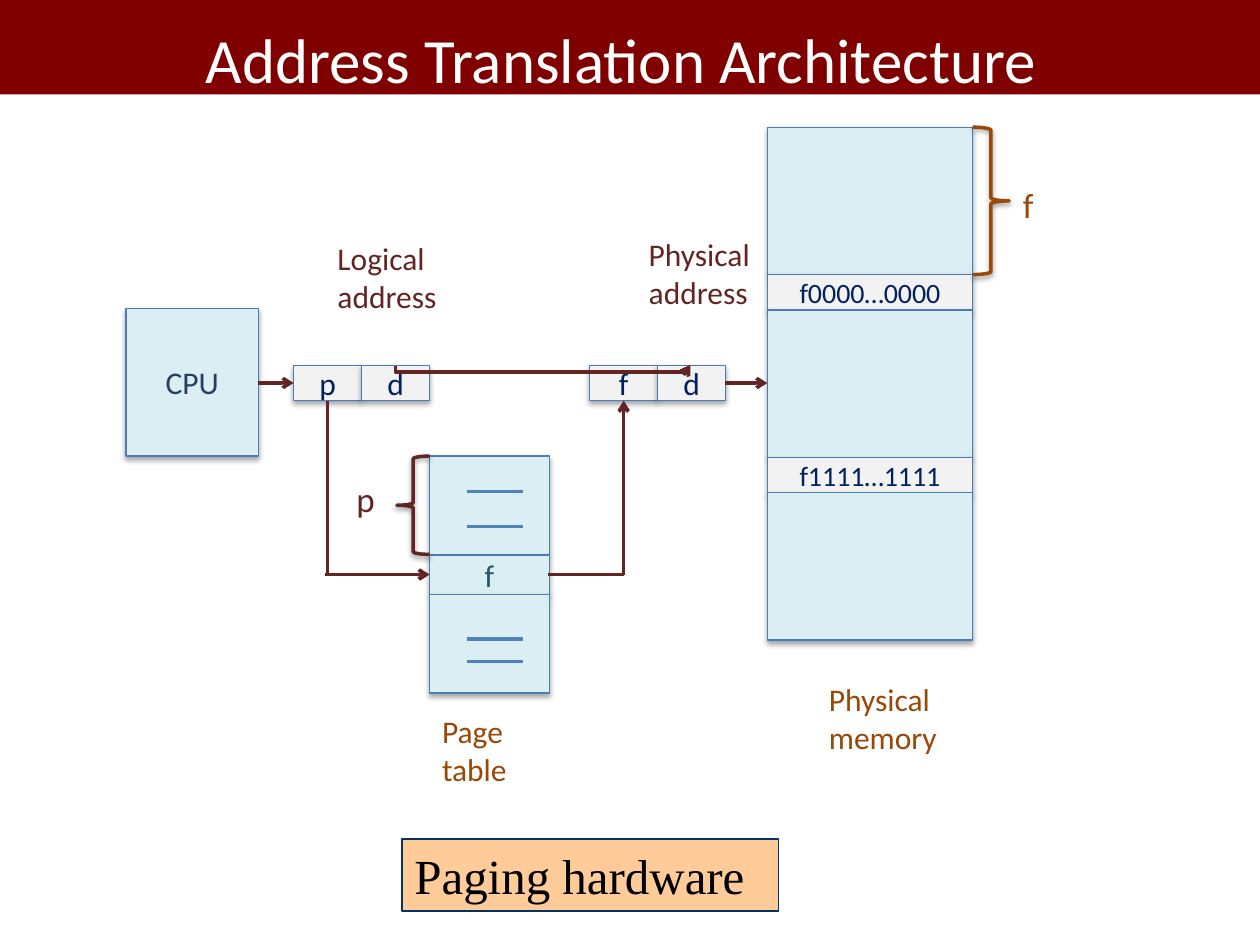
from lxml import etree
from pptx import Presentation
from pptx.dml.color import RGBColor
from pptx.enum.shapes import MSO_CONNECTOR as Connector, MSO_SHAPE as Shape
from pptx.enum.text import MSO_ANCHOR as Anchor, MSO_AUTO_SIZE as AutoSize, PP_ALIGN as Align
from pptx.oxml.ns import qn
from pptx.util import Inches, Pt

PALE_BLUE = RGBColor(0xDB, 0xEE, 0xF4)
PALE_GREY = RGBColor(0xF2, 0xF2, 0xF2)
EDGE_BLUE = RGBColor(0x4A, 0x7E, 0xBB)
ENTRY_BLUE = RGBColor(0x4F, 0x81, 0xBD)
NAVY = RGBColor(0x00, 0x20, 0x60)
SLATE = RGBColor(0x25, 0x40, 0x61)
TEAL = RGBColor(0x21, 0x59, 0x68)
BROWN = RGBColor(0x98, 0x48, 0x07)
WINE = RGBColor(0x63, 0x25, 0x23)
MAROON = RGBColor(0x80, 0x00, 0x00)
PEACH = RGBColor(0xFF, 0xCC, 0x99)
CAPTION_EDGE = RGBColor(0x00, 0x33, 0x66)
WHITE = RGBColor(0xFF, 0xFF, 0xFF)
BLACK = RGBColor(0x00, 0x00, 0x00)


class Diagram:
    font = "Calibri"
    line_width = Pt(2)
    edge_width = Pt(0.75)

    def __init__(self, slide):
        self.slide = slide

    def add_runs(self, frame, runs, color, align=Align.LEFT, font=font):
        """Fill the first paragraph with (text, size) runs."""
        frame.word_wrap = True
        paragraph = frame.paragraphs[0]
        paragraph.alignment = align
        for text, size in runs:
            run = paragraph.add_run()
            run.text = text
            run.font.name = font
            run.font.size = Pt(size)
            run.font.color.rgb = color

    def cast_shadow(self, shape, opacity, distance):
        effects = shape._element.spPr.find(qn("a:effectLst"))
        shadow = etree.SubElement(effects, qn("a:outerShdw"), blurRad=str(Pt(3.1)),
                                  dist=str(Pt(distance)), dir="5400000", rotWithShape="0")
        tint = etree.SubElement(shadow, qn("a:srgbClr"), val="000000")
        etree.SubElement(tint, qn("a:alpha"), val=str(opacity * 1000))

    def panel(self, left, top, width, height, fill, edge=None, kind=Shape.RECTANGLE):
        shape = self.slide.shapes.add_shape(
            kind, Inches(left), Inches(top), Inches(width), Inches(height))
        shape.shadow.inherit = False
        if fill is None:
            shape.fill.background()
        else:
            shape.fill.solid()
            shape.fill.fore_color.rgb = fill
        if edge is None:
            shape.line.fill.background()
        else:
            shape.line.color.rgb = edge
            shape.line.width = self.edge_width
        shape.text_frame.vertical_anchor = Anchor.TOP
        return shape

    def cell(self, left, top, width, height, text="", fill=PALE_BLUE, color=NAVY, size=18):
        box = self.panel(left, top, width, height, fill, EDGE_BLUE)
        self.cast_shadow(box, 35, 1.8)
        if text:
            box.text_frame.vertical_anchor = Anchor.MIDDLE
            self.add_runs(box.text_frame, [(text, size)], color, Align.CENTER)

    def address(self, left, top, fields):
        width = 0.54
        for index, field in enumerate(fields):
            self.cell(left + index * width, top, width, 0.28, field, PALE_GREY)

    def brace(self, kind, left, top, width, height, color):
        brace = self.panel(left, top, width, height, None, color, kind)
        brace.line.width = self.line_width
        self.cast_shadow(brace, 38, 1.6)

    def label(self, left, top, width, height, text, color, size=18):
        box = self.slide.shapes.add_textbox(
            Inches(left), Inches(top), Inches(width), Inches(height))
        self.add_runs(box.text_frame, [(text, size)], color)
        box.text_frame.auto_size = AutoSize.SHAPE_TO_FIT_TEXT

    def line(self, start, end, color=WINE, arrow=False, kind=Connector.STRAIGHT):
        x1, y1, x2, y2 = map(Inches, (*start, *end))
        connector = self.slide.shapes.add_connector(kind, x1, y1, x2, y2)
        connector.line.color.rgb = color
        connector.line.width = self.line_width
        properties = connector._element.spPr
        if arrow:
            etree.SubElement(properties.find(qn("a:ln")), qn("a:tailEnd"), type="arrow")
        etree.SubElement(properties, qn("a:effectLst"))
        return connector

    def dipping_arrow(self, left, right, y, dip):
        """Arrow between two points of equal height that runs below them."""
        middle, half, thin = (left + right) / 2, (right - left) / 2, 0.01
        arrow = self.line((middle - thin / 2, y - half), (middle + thin / 2, y + half),
                          arrow=True, kind=Connector.ELBOW)
        properties = arrow._element.spPr
        properties.find(qn("a:xfrm")).set("rot", str(270 * 60000))
        guides = properties.find(qn("a:prstGeom")).find(qn("a:avLst"))
        etree.SubElement(guides, qn("a:gd"), name="adj1",
                         fmla=f"val {round(-dip / thin * 100000)}")


def draw_memory(diagram):
    left, width, block, frame = 6.09, 1.63, 1.17, 0.28
    top = 1.01
    for text in ("", "f0000…0000", "", "f1111…1111", ""):
        height = frame if text else block
        diagram.cell(left, top, width, height, text, PALE_GREY if text else PALE_BLUE, size=16)
        top += height
    diagram.label(6.48, 5.35, 1.25, 0.7, "Physical memory", BROWN)
    diagram.brace(Shape.RIGHT_BRACE, left + width, 1.01, 0.29, block, BROWN)
    diagram.label(8.02, 1.41, 0.25, 0.43, "f", BROWN, 20)


def draw_page_table(diagram):
    left, width = 3.41, 0.95
    for top, height, text in ((3.62, 0.78, ""), (4.41, 0.31, "f"), (4.72, 0.78, "")):
        diagram.cell(left, top, width, height, text, color=TEAL)
    for y in (3.9, 4.18, 5.07, 5.25):
        diagram.line((3.71, y), (4.15, y), ENTRY_BLUE)
    diagram.brace(Shape.LEFT_BRACE, 3.15, 3.62, 0.26, 0.78, WINE)
    diagram.label(2.73, 3.74, 0.28, 0.43, "p", WINE, 20)
    diagram.label(left, 5.6, width, 0.7, "Page table", BROWN)


def draw_translation(diagram):
    diagram.cell(1, 2.45, 1.05, 1.17, "CPU", color=SLATE)
    diagram.address(2.33, 2.9, "pd")
    diagram.address(4.68, 2.9, "fd")
    diagram.label(2.58, 1.85, 1.12, 0.7, "Logical address", WINE)
    diagram.label(5.05, 1.82, 1.41, 0.7, "Physical address", WINE)
    diagram.line((2.05, 3.04), (2.33, 3.04), arrow=True)
    diagram.line((5.75, 3.04), (6.09, 3.04), arrow=True)
    diagram.dipping_arrow(3.14, 5.48, 2.9, 0.05)
    diagram.line((2.6, 3.18), (2.6, 4.56))
    diagram.line((2.58, 4.56), (3.41, 4.56), arrow=True)
    diagram.line((4.35, 4.56), (4.95, 4.56))
    diagram.line((4.95, 4.56), (4.95, 3.18), arrow=True)


def main():
    deck = Presentation()
    deck.slide_width, deck.slide_height = Inches(10), Inches(7.5)
    diagram = Diagram(deck.slides.add_slide(deck.slide_layouts[6]))

    draw_memory(diagram)
    draw_page_table(diagram)
    draw_translation(diagram)

    title = diagram.panel(0, 0, 10, 0.75, MAROON)
    diagram.add_runs(title.text_frame, [("Address Translation Architecture", 36), (" ", 44)],
                     WHITE, Align.CENTER)
    caption = diagram.panel(3.19, 6.66, 2.99, 0.57, PEACH, CAPTION_EDGE)
    diagram.add_runs(caption.text_frame, [("Paging hardware", 28)], BLACK,
                     font="Times New Roman")
    caption.text_frame.auto_size = AutoSize.SHAPE_TO_FIT_TEXT

    deck.save("out.pptx")


if __name__ == "__main__":
    main()
